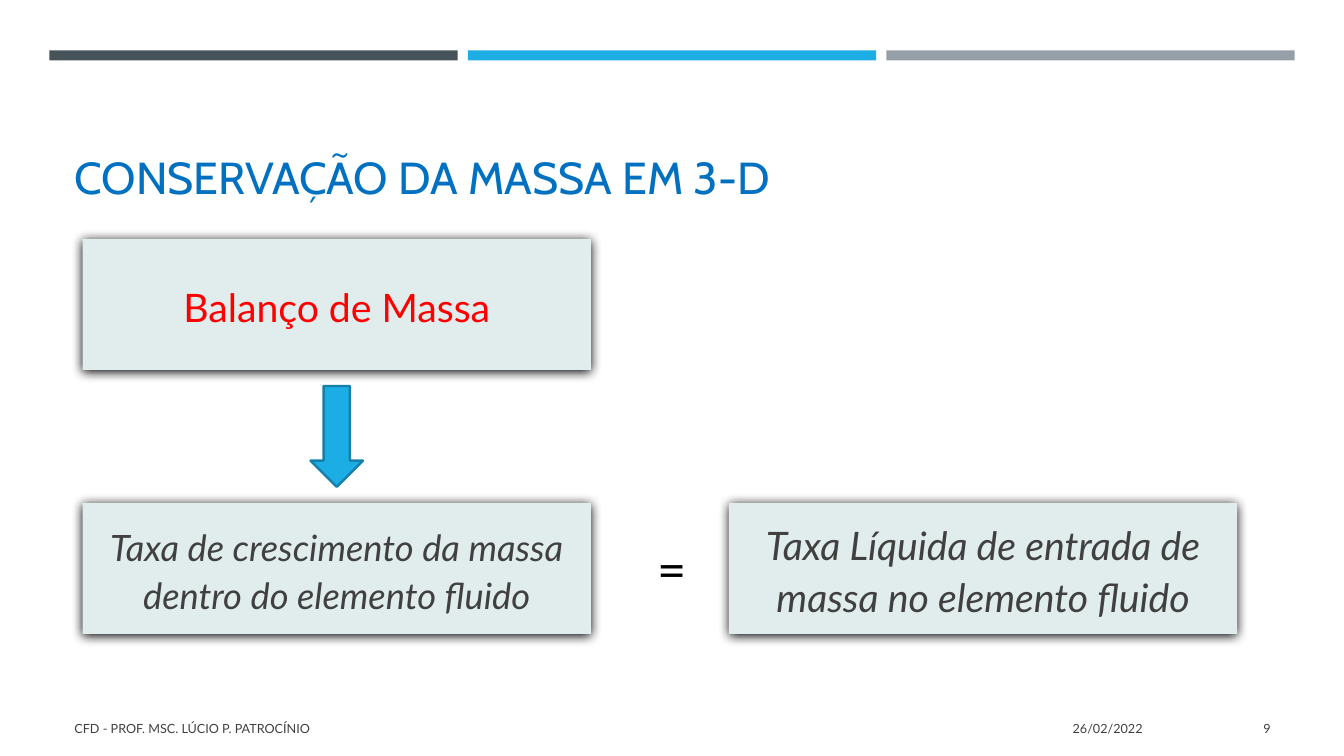
import lxml.etree
import pptx
import pptx.dml.color
import pptx.enum.shapes
import pptx.enum.text
import pptx.oxml.ns
import pptx.util

Inches = pptx.util.Inches
Pt = pptx.util.Pt
RGBColor = pptx.dml.color.RGBColor
MSO_SHAPE = pptx.enum.shapes.MSO_SHAPE
ALIGN = pptx.enum.text.PP_ALIGN
ANCHOR = pptx.enum.text.MSO_ANCHOR
qn = pptx.oxml.ns.qn

SLATE = RGBColor(0x46, 0x53, 0x59)
SKY = RGBColor(0x1C, 0xAD, 0xE4)
SKY_DARK = RGBColor(0x15, 0x80, 0xA9)
GRAY = RGBColor(0x96, 0x9F, 0xA7)
TITLE_BLUE = RGBColor(0x00, 0x70, 0xC0)
CARD_FILL = RGBColor(0xE0, 0xED, 0xEC)
RED = RGBColor(0xFF, 0x00, 0x00)
TEXT_GRAY = RGBColor(0x40, 0x40, 0x40)
BLACK = RGBColor(0x00, 0x00, 0x00)

CARD_WIDTH, CARD_HEIGHT = 5.04, 1.3
LEFT_CARD, RIGHT_CARD = 0.82, 7.23
TOP_ROW, BOTTOM_ROW = 2.37, 4.99


def place(shape, left, top, width, height):
    shape.left, shape.top = Inches(left), Inches(top)
    shape.width, shape.height = Inches(width), Inches(height)


def write(shape, text, size, color, align=ALIGN.LEFT, anchor=ANCHOR.MIDDLE,
          font="Lato", italic=False):
    """Fill the shape with one formatted run and return its paragraph."""
    frame = shape.text_frame
    frame.word_wrap = True
    frame.auto_size = pptx.enum.text.MSO_AUTO_SIZE.NONE
    frame.vertical_anchor = anchor
    paragraph = frame.paragraphs[0]
    paragraph.alignment = align
    run = paragraph.add_run()
    run.text = text
    run.font.name = font
    run.font.size = Pt(size)
    run.font.italic = italic
    run.font.color.rgb = color
    return paragraph


def add_label(slide, box, text, size, color, align=ALIGN.LEFT, anchor=ANCHOR.MIDDLE):
    label = slide.shapes.add_textbox(*map(Inches, box))
    write(label, text, size, color, align, anchor)


def add_block(slide, kind, box, fill):
    block = slide.shapes.add_shape(kind, *map(Inches, box))
    block.shadow.inherit = False
    block.fill.solid()
    block.fill.fore_color.rgb = fill
    block.line.fill.background()
    return block


def add_top_bars(slide, left, top, width, height, gap=0.1):
    bar_width = (width - 2 * gap) / 3
    for column, color in enumerate((SLATE, SKY, GRAY)):
        bar_left = left + column * (bar_width + gap)
        add_block(slide, MSO_SHAPE.RECTANGLE, (bar_left, top, bar_width, height), color)


def add_title(slide, left, top, width, height):
    title = slide.shapes.title
    place(title, left, top, width, height)
    write(title, "CONSERVAÇÃO DA MASSA EM 3-D", 32, TITLE_BLUE,
          anchor=ANCHOR.BOTTOM, font="Cabin")


def cast_shadow(shape):
    shape.shadow.inherit = False
    effects = shape._element.spPr.find(qn("a:effectLst"))
    shadow = lxml.etree.SubElement(
        effects, qn("a:outerShdw"), blurRad=str(Pt(8.5)), dist=str(Pt(1)),
        dir="5400000", algn="ctr", rotWithShape="0")
    lxml.etree.SubElement(shadow, qn("a:srgbClr"), val=str(BLACK))


def format_card(card, left, top, text, size, color, italic):
    place(card, left, top, CARD_WIDTH, CARD_HEIGHT)
    card.fill.solid()
    card.fill.fore_color.rgb = CARD_FILL
    card.line.fill.background()
    cast_shadow(card)
    paragraph = write(card, text, size, color, ALIGN.CENTER, italic=italic)
    paragraph.line_spacing = 1.1
    paragraph.space_before = Pt(0.2 * size)
    paragraph.space_after = Pt(6)
    properties = paragraph._p.get_or_add_pPr()
    properties.set("marL", "0")
    properties.set("indent", "0")
    lxml.etree.SubElement(properties, qn("a:buNone"))


def add_term(slide, left, text, size):
    """Add one side of the balance equation."""
    card = add_block(slide, MSO_SHAPE.RECTANGLE,
                     (left, BOTTOM_ROW, CARD_WIDTH, CARD_HEIGHT), CARD_FILL)
    format_card(card, left, BOTTOM_ROW, text, size, TEXT_GRAY, italic=True)


def add_mass_balance(slide):
    format_card(slide.placeholders[1], LEFT_CARD, TOP_ROW, "Balanço de Massa",
                28, RED, italic=False)

    arrow_width, arrow_height = 0.52, 1
    arrow_left = LEFT_CARD + (CARD_WIDTH - arrow_width) / 2
    arrow_top = (TOP_ROW + CARD_HEIGHT + BOTTOM_ROW - arrow_height) / 2
    arrow = add_block(slide, MSO_SHAPE.DOWN_ARROW,
                      (arrow_left, arrow_top, arrow_width, arrow_height), SKY)
    arrow.line.color.rgb = SKY_DARK
    arrow.line.width = Pt(1.75)

    add_term(slide, LEFT_CARD, "Taxa de crescimento da massa dentro do elemento fluido", 25.9)
    add_label(slide, (6.23, 5.29, 0.88, 0.71), "=", 36, BLACK, ALIGN.CENTER, ANCHOR.TOP)
    add_term(slide, RIGHT_CARD, "Taxa Líquida de entrada de massa no elemento fluido", 28)


def add_footer(slide, top, height):
    for left, width, text, align in (
        (0.64, 7.56, "CFD - PROF. MSC. LÚCIO P. PATROCÍNIO", ALIGN.LEFT),
        (8.32, 3.11, "26/02/2022", ALIGN.RIGHT),
        (11.55, 1.15, "9", ALIGN.RIGHT),
    ):
        add_label(slide, (left, top, width, height), text, 9, TEXT_GRAY, align)


def main():
    presentation = pptx.Presentation()
    presentation.slide_width = Inches(13.33)
    presentation.slide_height = Inches(7.5)
    slide = presentation.slides.add_slide(presentation.slide_layouts[1])
    add_top_bars(slide, 0.49, 0.5, 12.35, 0.1)
    add_title(slide, 0.64, 0.77, 12.06, 1.3)
    add_mass_balance(slide)
    add_footer(slide, 7.03, 0.4)
    presentation.save("out.pptx")


if __name__ == "__main__":
    main()
